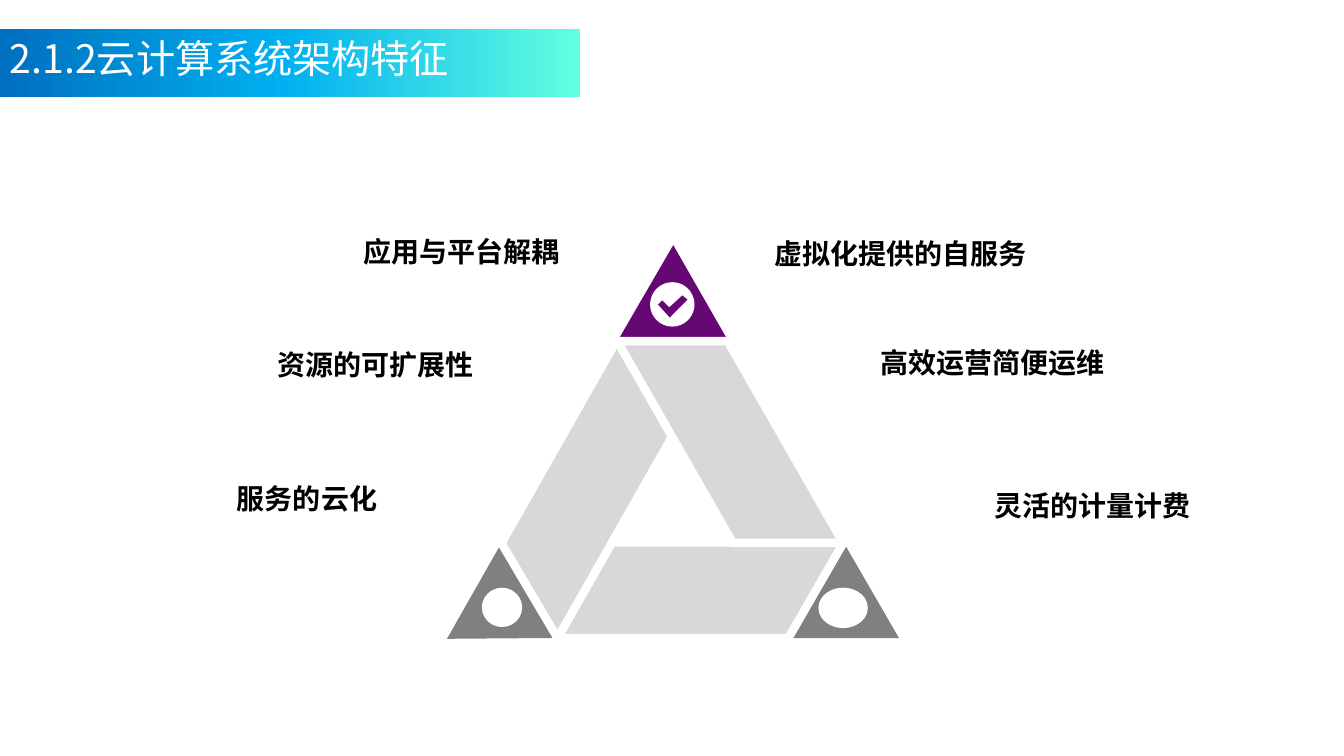
from copy import deepcopy

from lxml.etree import SubElement
from pptx import Presentation
from pptx.dml.color import RGBColor
from pptx.enum.shapes import MSO_SHAPE
from pptx.enum.text import MSO_AUTO_SIZE, PP_ALIGN
from pptx.oxml.ns import qn
from pptx.util import Pt

WHITE, BLACK, GREY, PALE, PURPLE = "FFFFFF", "000000", "808080", "D8D8D8", "660874"
CHINESE_FONT = "Noto Sans CJK SC"
BAND = 68.4
TRIANGLE_WIDTH = 79.2

# Triangle position, bar position, bar width, bar slant, rotation, triangle colour
CORNERS = [
    ((563, 387.4), (396.7, 387.4), 205.9, 0.577, 0, GREY),
    ((329, 404.6), (316.1, 314.6), 207.4, 0.573, 119.6, GREY),
    ((431.3, 192.2), (419, 281.5), 205.2, 0.573, 240.2, PURPLE),
]
# Left, top, width, text
LABELS = [
    (87.1, 340.6, 189.4, "服务的云化"),
    (663.8, 345.6, 193.7, "灵活的计量计费"),
    (602.6, 243.4, 193.7, "高效运营简便运维"),
    (534.2, 165.6, 206.6, "虚拟化提供的自服务"),
    (156.2, 244.8, 189.4, "资源的可扩展性"),
    (217.4, 164.2, 189.4, "应用与平台解耦"),
]
ICON_DISCS = [
    (584.6, 419.8, 35.3, 28.8),
    (344.2, 419.8, 28.8, 28.1),
    (464.4, 201.6, 31.7, 31.7),
]
CHECK_MARK = [(470, 217.5), (473, 214.6), (478, 219.6),
              (487.4, 211), (491, 214), (478.4, 226.8)]


def colour(value):
    return RGBColor.from_string(value)


def paint(shape, fill):
    shape.shadow.inherit = False
    shape.fill.solid()
    shape.fill.fore_color.rgb = colour(fill)
    shape.line.fill.background()


def add_preset(page, kind, left, top, width, height, fill, rotation=0):
    shape = page.shapes.add_shape(kind, Pt(left), Pt(top), Pt(width), Pt(height))
    shape.rotation = rotation
    paint(shape, fill)
    return shape


def add_banner(page, left, top, width, height, stops):
    """Rectangle with a left-to-right gradient; stops are (position, colour)."""
    banner = add_preset(page, MSO_SHAPE.RECTANGLE, left, top, width, height, WHITE)
    banner.fill.gradient()
    banner.fill.gradient_angle = 0
    stop_list = next(banner.element.iter(qn("a:gsLst")))
    while len(stop_list) < len(stops):
        stop_list.append(deepcopy(stop_list[0]))
    for stop, (position, value) in zip(banner.fill.gradient_stops, stops):
        stop.position = position
        stop.color.rgb = colour(value)


def add_text(page, left, top, width, height, text, size, font, value, align, bold=False):
    box = page.shapes.add_textbox(Pt(left), Pt(top), Pt(width), Pt(height))
    box.text_frame.word_wrap = True
    paragraph = box.text_frame.paragraphs[0]
    paragraph.text = text
    paragraph.alignment = align
    paragraph.font.size = Pt(size)
    paragraph.font.name = font
    paragraph.font.bold = bold
    paragraph.font.color.rgb = colour(value)
    properties = next(paragraph._p.iter(qn("a:defRPr")))
    SubElement(properties, qn("a:ea")).set("typeface", CHINESE_FONT)
    return box


def add_corner(page, triangle_at, bar_at, bar_width, slant, rotation, fill):
    """Corner triangle with the slanted bar that follows it."""
    add_preset(page, MSO_SHAPE.ISOSCELES_TRIANGLE, *triangle_at,
               TRIANGLE_WIDTH, BAND, fill, rotation)
    bar = add_preset(page, MSO_SHAPE.PARALLELOGRAM, *bar_at,
                     bar_width, BAND, PALE, rotation)
    bar.adjustments[0] = slant
    bar.line.color.rgb = colour(WHITE)
    bar.line.width = Pt(6)


def add_outline(page, points, fill):
    start, *others = [(Pt(x), Pt(y)) for x, y in points]
    builder = page.shapes.build_freeform(*start)
    builder.add_line_segments(others, close=True)
    paint(builder.convert_to_shape(), fill)


def main():
    deck = Presentation()
    deck.slide_width, deck.slide_height = Pt(960), Pt(540)
    page = deck.slides.add_slide(deck.slide_layouts[6])

    add_banner(page, 0, 20.9, 414, 48.2,
               [(0, "0070C0"), (0.49, "00B0F0"), (1, "62FFDF")])
    title = add_text(page, 0, 20.9, 406.8, 41, "2.1.2云计算系统架构特征",
                     28, CHINESE_FONT, WHITE, PP_ALIGN.JUSTIFY)
    title.text_frame.auto_size = MSO_AUTO_SIZE.SHAPE_TO_FIT_TEXT

    for corner in CORNERS:
        add_corner(page, *corner)
    for disc in ICON_DISCS:
        add_preset(page, MSO_SHAPE.OVAL, *disc, WHITE)
    add_outline(page, CHECK_MARK, PURPLE)
    for left, top, width, text in LABELS:
        add_text(page, left, top, width, 29.5, text,
                 20, "Cabin", BLACK, PP_ALIGN.RIGHT, bold=True)

    deck.save("out.pptx")


if __name__ == "__main__":
    main()
